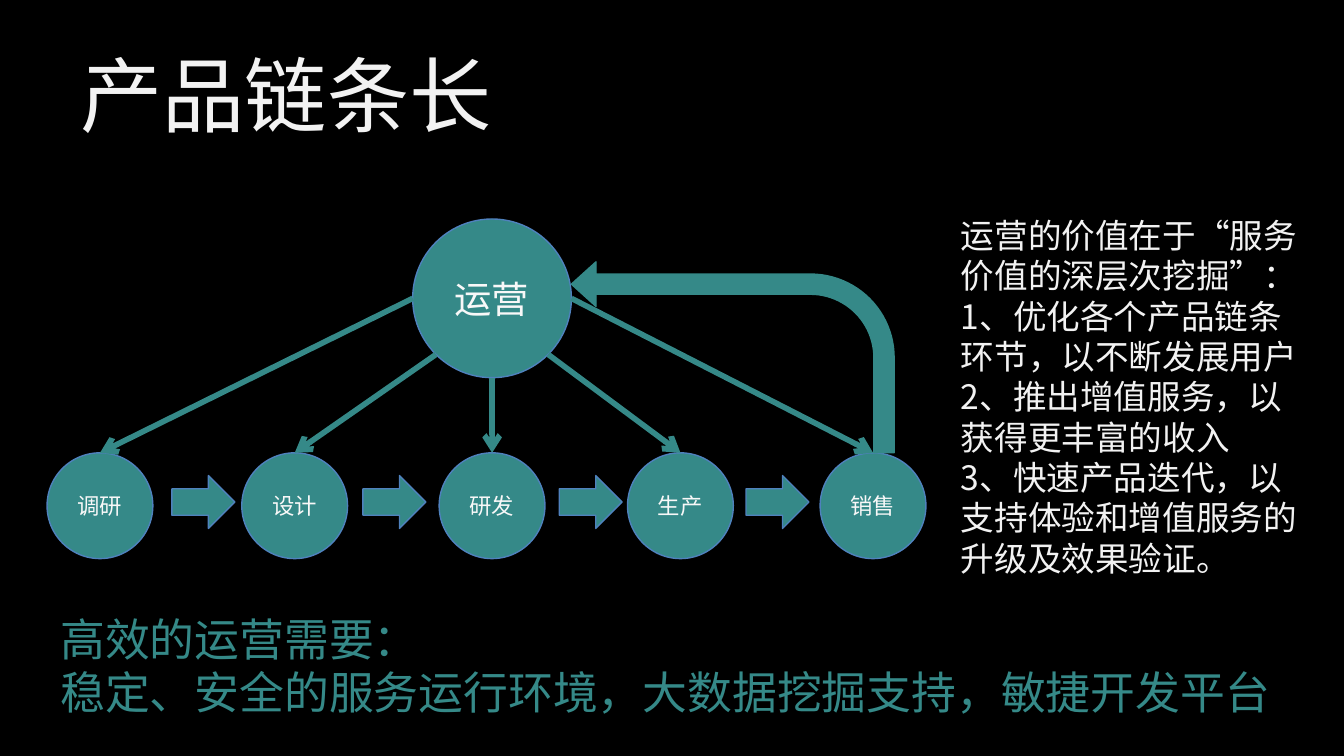
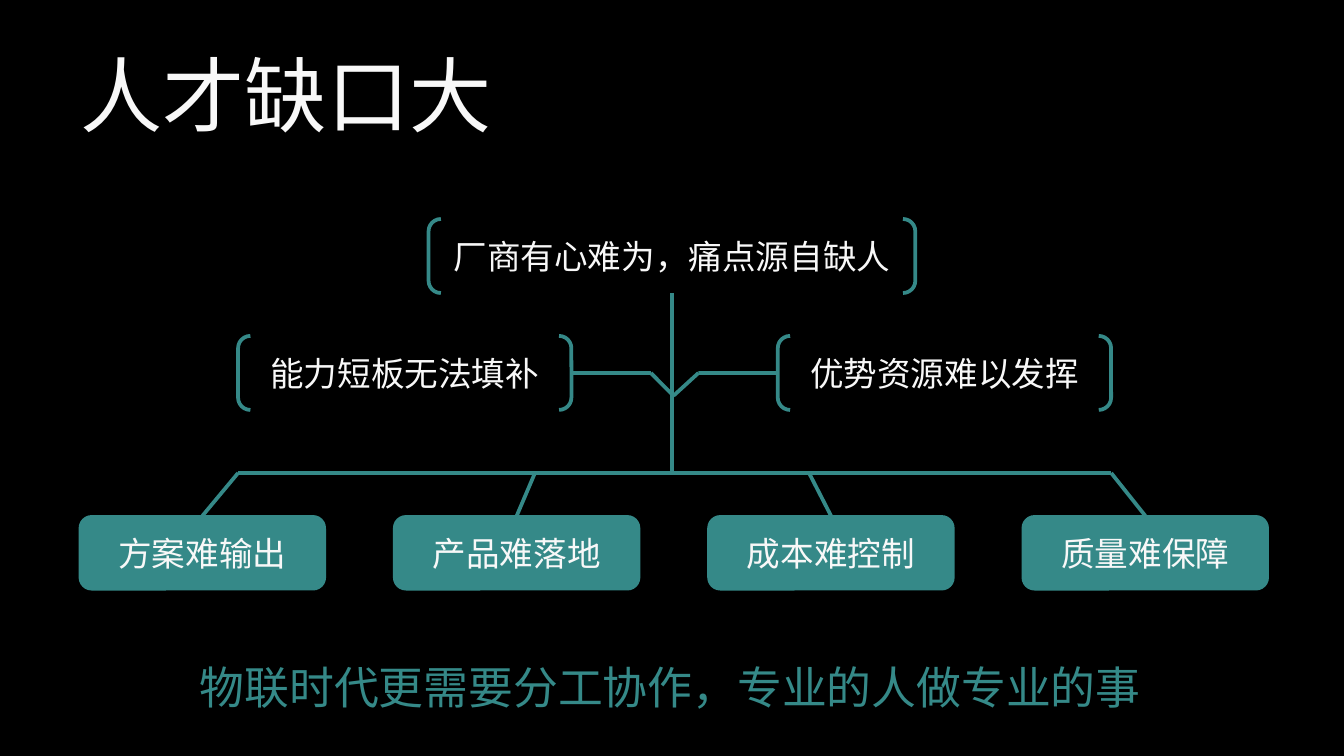
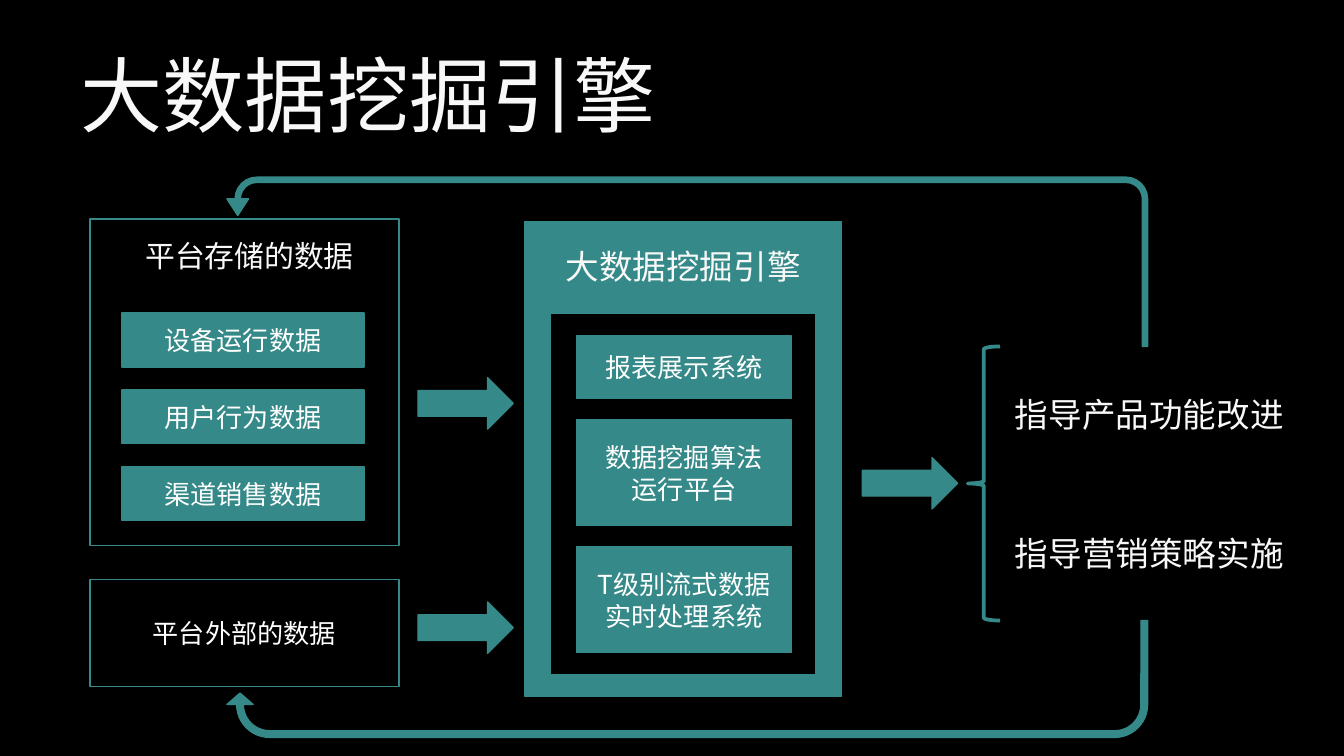
import lxml.etree
import pptx
import pptx.dml.color
import pptx.enum.shapes
import pptx.enum.text
import pptx.oxml.ns
import pptx.util
import math

Cm, Pt = pptx.util.Cm, pptx.util.Pt
SHAPE = pptx.enum.shapes.MSO_SHAPE
ALIGN = pptx.enum.text.PP_ALIGN
ANCHOR = pptx.enum.text.MSO_ANCHOR
AUTO = pptx.enum.text.MSO_AUTO_SIZE
qn = pptx.oxml.ns.qn

FONT = "Noto Sans CJK SC"
COLORS = {"bg": "000000", "teal": "358988", "edge": "4F81BD",
          "soft": "F2F2F2", "light": "F8F8F8", "white": "FFFFFF"}


def rgb(name):
    return pptx.dml.color.RGBColor.from_string(COLORS[name])


def set_attrs(obj, values):
    for name, value in values.items():
        setattr(obj, name, value)


def inside(box, dx, dy, w, h):
    return box[0] + dx, box[1] + dy, w, h


def write(sp, lines, size, color="light", align=ALIGN.CENTER, **frame):
    tf = sp.text_frame
    set_attrs(tf, frame)
    for i, line in enumerate(lines):
        p = tf.add_paragraph() if i else tf.paragraphs[0]
        p.alignment = align
        r = p.add_run()
        r.text = line
        set_attrs(r.font, {"size": Pt(size), "name": FONT, "bold": False})
        r.font.color.rgb = rgb(color)
        lxml.etree.SubElement(r.font._element, qn("a:ea"), typeface=FONT)


def add_text(s, box, lines, size, color="light", align=ALIGN.CENTER, wrap=False):
    sp = s.shapes.add_textbox(*map(Cm, box))
    write(sp, lines, size, color, align, word_wrap=wrap, auto_size=AUTO.SHAPE_TO_FIT_TEXT)


def add_shape(s, kind, box, lines=(), size=18, color="light", fill="teal",
              line="teal", width=0.75, adjust=(), flips=()):
    sp = s.shapes.add_shape(kind, *map(Cm, box))
    sp.shadow.inherit = False
    if fill:
        sp.fill.solid()
        sp.fill.fore_color.rgb = rgb(fill)
    else:
        sp.fill.background()
    sp.line.color.rgb = rgb(line)
    sp.line.width = Pt(width)
    for i, value in enumerate(adjust):
        sp.adjustments[i] = value
    for flip in flips:
        sp.element.spPr.xfrm.set(flip, "1")
    write(sp, lines, size, color, vertical_anchor=ANCHOR.MIDDLE, word_wrap=True)
    return sp


def add_line(s, start, end, width=2, arrow=False, begin=None, finish=None):
    c = s.shapes.add_connector(pptx.enum.shapes.MSO_CONNECTOR.STRAIGHT,
                               *map(Cm, (*start, *end)))
    if begin:
        c.begin_connect(*begin)
    if finish:
        c.end_connect(*finish)
    c.line.color.rgb = rgb("teal")
    c.line.width = Pt(width)
    if arrow:
        lxml.etree.SubElement(c.line._get_or_add_ln(), qn("a:tailEnd"), type="arrow")
    lxml.etree.SubElement(c.element.spPr, qn("a:effectLst"))


def add_slide(prs, title, color="light"):
    s = prs.slides.add_slide(prs.slide_layouts[5])
    set_attrs(s.shapes.title, {"left": Cm(1.27), "top": Cm(0.58),
                               "width": Cm(22.86), "height": Cm(2.39)})
    write(s.shapes.title, [title], 44, color, ALIGN.LEFT,
          vertical_anchor=ANCHOR.MIDDLE, auto_size=AUTO.NONE)
    return s


def product_chain(s, box):
    x, y = box[:2]
    stage_size, hub_size, stage_top = 2, 3, 4.42
    stages = {"调研": 0, "设计": 3.68, "研发": 7.41, "生产": 10.97, "销售": 14.61}
    for name, dx in stages.items():
        add_shape(s, SHAPE.OVAL, inside(box, dx, stage_top, stage_size, stage_size),
                  [name], 12, line="edge")
    for dx in (2.36, 5.97, 9.68, 13.21):
        add_shape(s, SHAPE.RIGHT_ARROW, inside(box, dx, 4.85, 1.19, 1), line="edge")
    add_shape(s, SHAPE.OVAL, inside(box, 6.91, 0, hub_size, hub_size),
              ["运营"], 20, line="edge")
    radius = hub_size / 2
    hub_x, hub_y = x + 6.91 + radius, y + radius
    for i, dx in enumerate(stages.values()):
        angle = math.radians(180 - 45 * i)
        start = hub_x + radius * math.cos(angle), hub_y + radius * math.sin(angle)
        add_line(s, start, (x + dx + stage_size / 2, y + stage_top), 3, True)
    add_shape(s, SHAPE.BENT_ARROW, inside(box, 9.91, 0.81, 6.1, 3.61),
              adjust=(0.106, 0.117, 0.129, 0.438), flips=["flipH"])


def chain_slide(prs):
    s = add_slide(prs, "产品链条长", "soft")
    product_chain(s, (0.89, 4.14, 16.61, 6.42))
    add_text(s, (17.91, 3.94, 7.01, 7.19),
             ["运营的价值在于“服务价值的深层次挖掘”：",
              "1、优化各个产品链条环节，以不断发展用户",
              "2、推出增值服务，以获得更丰富的收入",
              "3、快速产品迭代，以支持体验和增值服务的升级及效果验证。"],
             18, "soft", ALIGN.LEFT, True)
    add_text(s, (0.89, 11.43, 23.6, 2.31),
             ["高效的运营需要：", "稳定、安全的服务运行环境，大数据挖掘支持，敏捷开发平台"],
             24, "teal", ALIGN.LEFT)


def talent_tree(s, box):
    x, y, w, h = box
    height, axis, bar_y = 1.4, x + 11.2, y + 4.8
    brackets = [("厂商有心难为，痛点源自缺人", 6.6, 0, 9.2),
                ("能力短板无法填补", 3, 2.21, 6.3),
                ("优势资源难以发挥", 13.2, 2.21, 6.3)]
    top, left, right = [
        add_shape(s, SHAPE.DOUBLE_BRACKET, inside(box, dx, dy, width, height),
                  [text], fill=None, width=2)
        for text, dx, dy, width in brackets]
    add_line(s, (axis, y + height), (axis, bar_y), begin=(top, 2))
    wing_y = y + 2.21 + height / 2
    for bracket, side, dx in ((left, 3, -0.4), (right, 1, 0.5)):
        joint = axis + dx, wing_y
        add_line(s, joint, joint, finish=(bracket, side))
        add_line(s, (axis + 0.03, wing_y + 0.43), joint)
    add_line(s, (x + 19.5, bar_y), (x + 3, bar_y))
    problems = ["方案难输出", "产品难落地", "成本难控制", "质量难保障"]
    for i, (problem, dx) in enumerate(zip(problems, (3, 8.61, 13.79, 19.5))):
        sp = add_shape(s, SHAPE.ROUNDED_RECTANGLE,
                       inside(box, 5.94 * i, h - height, 4.65, height), [problem])
        start = x + dx, bar_y
        add_line(s, start, start, finish=(sp, 0))


def talent_slide(prs):
    s = add_slide(prs, "人才缺口大")
    talent_tree(s, (1.5, 4.14, 22.47, 7.01))
    add_text(s, (3.43, 12.34, 18.47, 1.27),
             ["物联时代更需要分工协作，专业的人做专业的事"], 24, "teal")


def stored_data(s, box):
    add_shape(s, SHAPE.RECTANGLE, box, fill=None)
    add_text(s, inside(box, 0.71, 0.23, 4.62, 0.94), ["平台存储的数据"], 16)
    for i, name in enumerate(["设备运行数据", "用户行为数据", "渠道销售数据"]):
        add_shape(s, SHAPE.RECTANGLE, inside(box, 0.61, 1.78 + 1.45 * i, 4.57, 1.02),
                  [name], 14, "white")


def engine(s, box):
    add_shape(s, SHAPE.RECTANGLE, box)
    add_text(s, inside(box, 0.5, 0.33, 5, 1.02), ["大数据挖掘引擎"], 18)
    add_shape(s, SHAPE.RECTANGLE, inside(box, 0.5, 1.73, 5, 6.83), fill="bg")
    dy = 2.16
    for lines, height in ((["报表展示系统"], 1.19),
                          (["数据挖掘算法", "运行平台"], 2),
                          (["T级别流式数据", "实时处理系统"], 2)):
        add_shape(s, SHAPE.RECTANGLE, inside(box, 0.99, dy, 4.06, height),
                  lines, 14, "white")
        dy += height + 0.4


def outcomes(s, box):
    add_shape(s, SHAPE.LEFT_BRACE, inside(box, 0, 0, 0.61, box[3]), fill=None, width=2)
    for i, text in enumerate(["指导产品功能改进", "指导营销策略实施"]):
        add_text(s, inside(box, 0.61, 0.77 + 2.62 * i, 5.64, 1.02), [text], 18)


def engine_slide(prs):
    s = add_slide(prs, "大数据挖掘引擎")
    engine(s, (9.91, 4.19, 5.99, 8.97))
    stored_data(s, (1.7, 4.14, 5.84, 6.17))
    add_shape(s, SHAPE.RECTANGLE, (1.7, 10.95, 5.84, 2.03),
              ["平台外部的数据"], 14, "white", None)
    for x, y in ((7.9, 7.14), (7.9, 11.38), (16.3, 8.65)):
        add_shape(s, SHAPE.RIGHT_ARROW, (x, y, 1.8, 0.97))
    outcomes(s, (18.29, 6.55, 6.25, 5.18))
    add_shape(s, SHAPE.U_TURN_ARROW, (4.29, 3.35, 17.4, 3.2),
              adjust=(0.031, 0.064, 0.098, 0.438, 0.226), flips=["flipH"])
    add_shape(s, SHAPE.U_TURN_ARROW, (4.29, 11.73, 17.4, 2.21),
              adjust=(0.057, 0.112, 0.098, 0.438, 0.379), flips=["flipH", "flipV"])


def main():
    prs = pptx.Presentation()
    set_attrs(prs, {"slide_width": Cm(25.4), "slide_height": Cm(14.29)})
    fill = prs.slide_master.background.fill
    fill.solid()
    fill.fore_color.rgb = rgb("bg")
    chain_slide(prs)
    talent_slide(prs)
    engine_slide(prs)
    prs.save("out.pptx")


if __name__ == "__main__":
    main()
